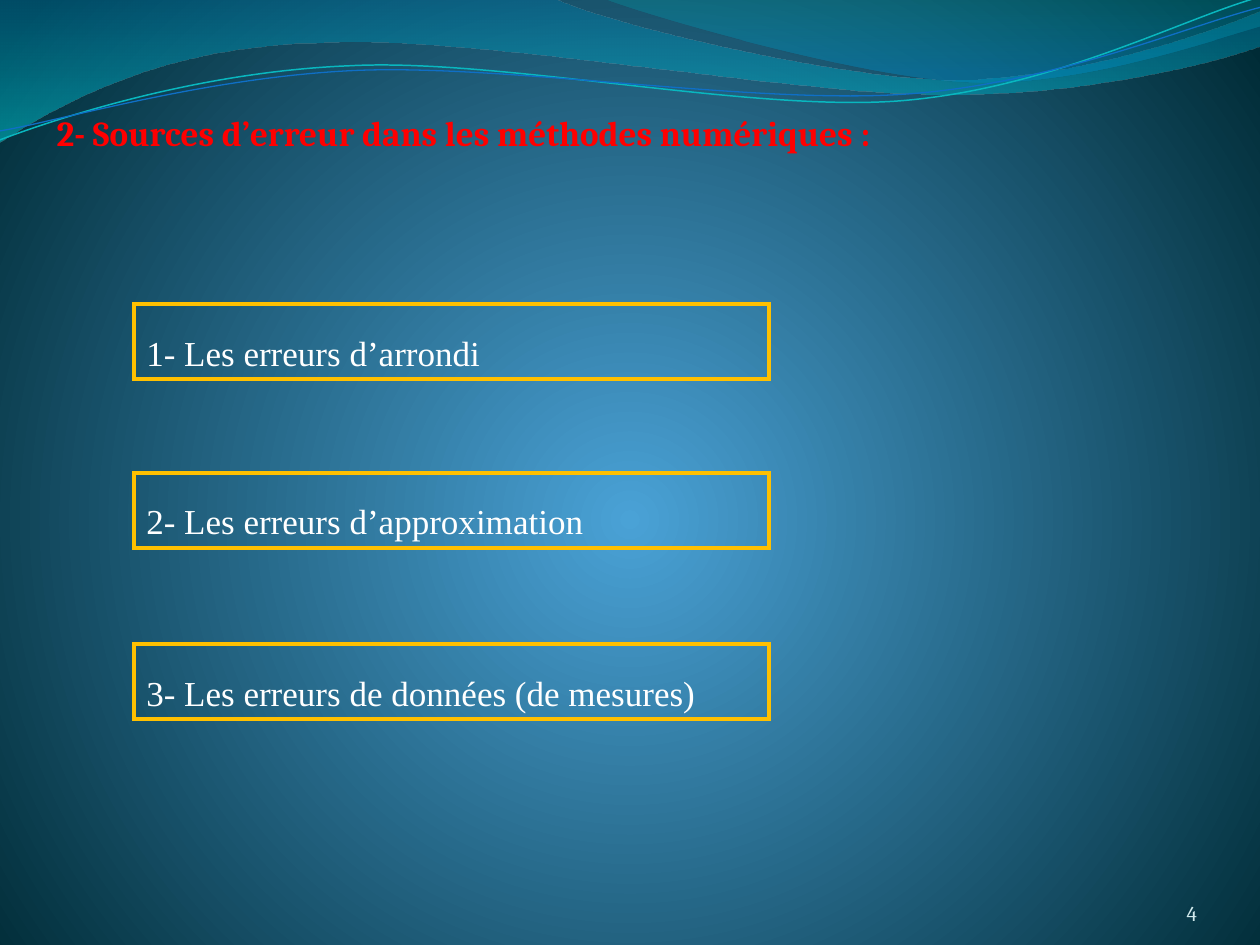
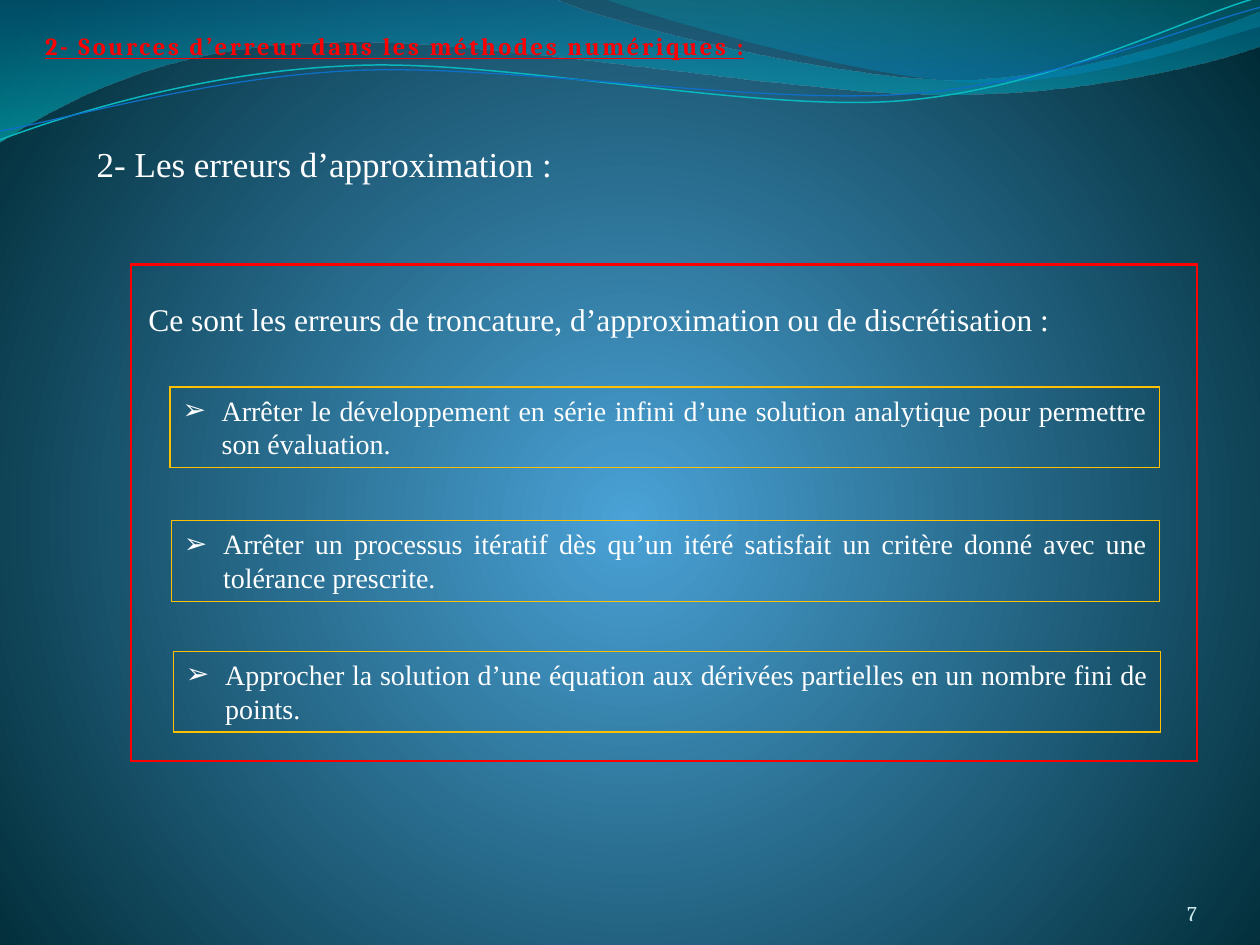
from lxml import etree
from pptx import Presentation
from pptx.dml.color import RGBColor
from pptx.enum.shapes import MSO_SHAPE
from pptx.enum.text import MSO_ANCHOR, MSO_AUTO_SIZE, PP_ALIGN
from pptx.oxml.ns import qn
from pptx.util import Cm, Pt

RECT = MSO_SHAPE.RECTANGLE
TOP, BOTTOM = MSO_ANCHOR.TOP, MSO_ANCHOR.BOTTOM
GROW, FIXED = MSO_AUTO_SIZE.SHAPE_TO_FIT_TEXT, MSO_AUTO_SIZE.NONE
LEFT, RIGHT, JUSTIFY = PP_ALIGN.LEFT, PP_ALIGN.RIGHT, PP_ALIGN.JUSTIFY

WIDTH, HEIGHT = 25.4, 19.05
TITLE_FONT, BODY_FONT = "Cambria", "Times New Roman"
WHITE, RED, GOLD, PALE = "FFFFFF", "FF0000", "FFC000", "D1EAED"
TITLE = "2- Sources d’erreur dans les méthodes numériques :"

BACKGROUND = [(0, "4AA2D6", 100), (100, "002B36", 100)]
WAVES = [
    ([(0, 0), (11.18, -0.03),
      (12.09, 0.43, 16.87, 1.6, 19.25, 1.6),
      (21.67, 1.6, 24.33, 0.66, 25.4, 0.23), (25.43, 0.91),
      (24.97, 1.12, 22.1, 1.93, 18.95, 1.9),
      (15.8, 1.9, 9.7, 0.71, 6.53, 0.86),
      (3.28, 0.89, 1.17, 2.11, -0.03, 2.87), (0, 0)],
     [(0, "0074A0", 45), (100, "00C4CD", 55)], 90),
    ([(12.17, -0.03),
      (12.93, 0.28, 17.32, 1.57, 19.53, 1.65),
      (21.74, 1.75, 24.41, 0.81, 25.4, 0.53), (25.4, 0), (12.17, -0.03)],
     [(20, "008ABF", 45), (100, "00A0A8", 30)], 270),
]
RIPPLE_TILT = 357.3
RIPPLES = [
    ([(-0.05, 2.22),
      (1.19, 1.82, 4.02, 1.04, 7.05, 1.06),
      (10.05, 1.04, 15.02, 2.37, 18.08, 2.29),
      (21.13, 2.2, 23.86, 0.91, 25.41, 0.55)], "09B7BF", 0.85),
    ([(-0.04, 2.04),
      (1.16, 1.9, 4.17, 1.15, 7.2, 1.16),
      (10.25, 1.18, 15.13, 2.22, 18.19, 2.16),
      (21.22, 2.1, 23.93, 1.06, 25.45, 0.75)], "0F6FC6", 0.75),
]


def rgb(value):
    """Turn a hex string into a colour."""
    return RGBColor.from_string(value)


def add_child(parent, tag, **attrs):
    """Append a drawing element with attributes to its parent."""
    child = etree.SubElement(parent, qn(tag))
    for name, value in attrs.items():
        child.set(name, str(value))
    return child


def set_gradient(fill, element, stops, angle=None):
    """Fill with a linear gradient, or a circular one when no angle is given."""
    fill.gradient()
    grad = element.xpath(".//a:gradFill")[0]
    for child in list(grad):
        grad.remove(child)
    stop_list = add_child(grad, "a:gsLst")
    for position, color, opacity in stops:
        stop = add_child(stop_list, "a:gs", pos=position * 1000)
        clr = add_child(stop, "a:srgbClr", val=color)
        if opacity < 100:
            add_child(clr, "a:alpha", val=opacity * 1000)
    if angle is None:
        circle = add_child(grad, "a:path", path="circle")
        add_child(circle, "a:fillToRect", l=50000, t=55000, r=50000, b=45000)
    else:
        add_child(grad, "a:lin", ang=angle * 60000, scaled=0)


def add_curve(slide, path, closed):
    """Draw an outline of straight and cubic segments."""
    points = [(Cm(seg[i]), Cm(seg[i + 1])) for seg in path for i in range(0, len(seg), 2)]
    builder = slide.shapes.build_freeform(*points[0])
    builder.add_line_segments(points[1:], close=closed)
    sp = builder.convert_to_shape()
    sp.shadow.inherit = False
    lines = iter(sp.element.xpath(".//a:lnTo"))
    for segment in path[1:]:
        group = [next(lines) for _ in range(len(segment) // 2)]
        if len(group) == 3:
            cubic = etree.Element(qn("a:cubicBezTo"))
            group[0].addprevious(cubic)
            for line in group:
                cubic.append(line[0])
                line.getparent().remove(line)
    return sp


def set_text(sp, text, size, font=BODY_FONT, color=WHITE, align=JUSTIFY,
             spacing=None, bullet=None, bold=None, underline=None, tracking=None):
    """Write one formatted paragraph into a shape."""
    tf = sp.text_frame
    tf.word_wrap = True
    tf.auto_size = GROW
    tf.vertical_anchor = TOP
    p = tf.paragraphs[0]
    p.text = text
    p.alignment = align
    if spacing:
        p.line_spacing = spacing
    if bullet:
        props = p._p.get_or_add_pPr()
        props.set("marL", str(Cm(0.79)))
        props.set("indent", str(-Cm(0.79)))
        add_child(props, "a:buFont", typeface="Arial")
        add_child(props, "a:buChar", char=bullet)
    r = p.runs[0]
    r.font.name, r.font.size = font, Pt(size)
    r.font.color.rgb = rgb(color)
    r.font.bold, r.font.underline = bold, underline
    if tracking:
        r._r.get_or_add_rPr().set("spc", str(int(tracking * 100)))


def add_text(slide, box, text, size, **style):
    """Add a text box."""
    sp = slide.shapes.add_textbox(*map(Cm, box))
    set_text(sp, text, size, **style)
    return sp


def add_frame(slide, box, color, weight):
    """Add an unfilled rectangle with a sharp coloured outline."""
    sp = slide.shapes.add_shape(RECT, *map(Cm, box))
    sp.shadow.inherit = False
    sp.fill.background()
    sp.line.color.rgb = rgb(color)
    sp.line.width = Pt(weight)
    add_child(sp.element.xpath(".//a:ln")[0], "a:miter", lim=800000)
    return sp


def add_title(slide, box, size, **style):
    """Add the section title."""
    add_text(slide, box, TITLE, size, font=TITLE_FONT, color=RED,
             align=LEFT, bold=True, **style)


def add_page_number(slide, box, number):
    """Add the page number at the lower right of its box."""
    sp = add_text(slide, box, str(number), 12, font=TITLE_FONT, color=PALE, align=RIGHT)
    tf = sp.text_frame
    tf.auto_size = FIXED
    tf.vertical_anchor = BOTTOM
    tf.margin_left = tf.margin_right = tf.margin_top = tf.margin_bottom = 0


def new_slide(prs, number):
    """Add a slide with the shared background, waves and page number."""
    slide = prs.slides.add_slide(prs.slide_layouts[6])
    set_gradient(slide.background.fill, slide.element, BACKGROUND)
    for path, stops, angle in WAVES:
        wave = add_curve(slide, path, True)
        set_gradient(wave.fill, wave.element, stops, angle)
        wave.line.fill.background()
    for path, color, weight in RIPPLES:
        ripple = add_curve(slide, path, False)
        ripple.rotation = RIPPLE_TILT
        ripple.fill.background()
        ripple.line.color.rgb = rgb(color)
        ripple.line.width = Pt(weight)
    add_page_number(slide, (22.02, 17.65, 2.11, 1.02), number)
    return slide


def add_framed_text(slide, box, text, weight, size, **style):
    """Add a gold frame holding one text."""
    set_text(add_frame(slide, box, GOLD, weight), text, size, **style)


def add_definition(slide, box, intro, cases):
    """Frame an introduction and its bulleted cases."""
    left, top, width, height = box
    add_text(slide, (left + 0.1, top + 0.59, width - 1.12, 1.02), intro, 18)
    for dx, dy, case_width, text in cases:
        add_framed_text(slide, (left + dx, top + dy, case_width, 1.63), text,
                        0.75, 16, bullet="➢")
    add_frame(slide, box, RED, 1.5)


def build_sources(prs):
    """Build the overview of error sources."""
    slide = new_slide(prs, 4)
    sources = [
        (6.13, "1- Les erreurs d’arrondi"),
        (9.53, "2- Les erreurs d’approximation"),
        (12.98, "3- Les erreurs de données (de mesures)"),
    ]
    add_title(slide, (0.89, 2.13, 17.6, 1.12), 20)
    for top, text in sources:
        add_framed_text(slide, (2.7, top, 12.8, 1.52), text, 2.25, 20, spacing=1.5)


def build_approximation(prs):
    """Build the slide on approximation errors."""
    slide = new_slide(prs, 7)
    cases = [
        (0.79, 2.47, 19.94, "Arrêter le développement en série infini d’une solution "
         "analytique pour permettre son évaluation."),
        (0.82, 5.17, 19.92, "Arrêter un processus itératif dès qu’un itéré satisfait "
         "un critère donné avec une tolérance prescrite."),
        (0.86, 7.8, 19.89, "Approcher la solution d’une équation aux dérivées "
         "partielles en un nombre fini de points."),
    ]
    add_definition(
        slide, (2.64, 5.33, 21.49, 10.01),
        "Ce sont les erreurs de troncature, d’approximation ou de discrétisation :",
        cases)
    add_title(slide, (0.66, 0.51, 16.03, 0.84), 14, underline=True, tracking=1.5)
    add_text(slide, (1.7, 2.33, 10.8, 1.37), "2- Les erreurs d’approximation :",
             20, spacing=1.5)


def main():
    """Build and save the presentation."""
    prs = Presentation()
    prs.slide_width, prs.slide_height = Cm(WIDTH), Cm(HEIGHT)
    build_sources(prs)
    build_approximation(prs)
    prs.save("out.pptx")


if __name__ == "__main__":
    main()
